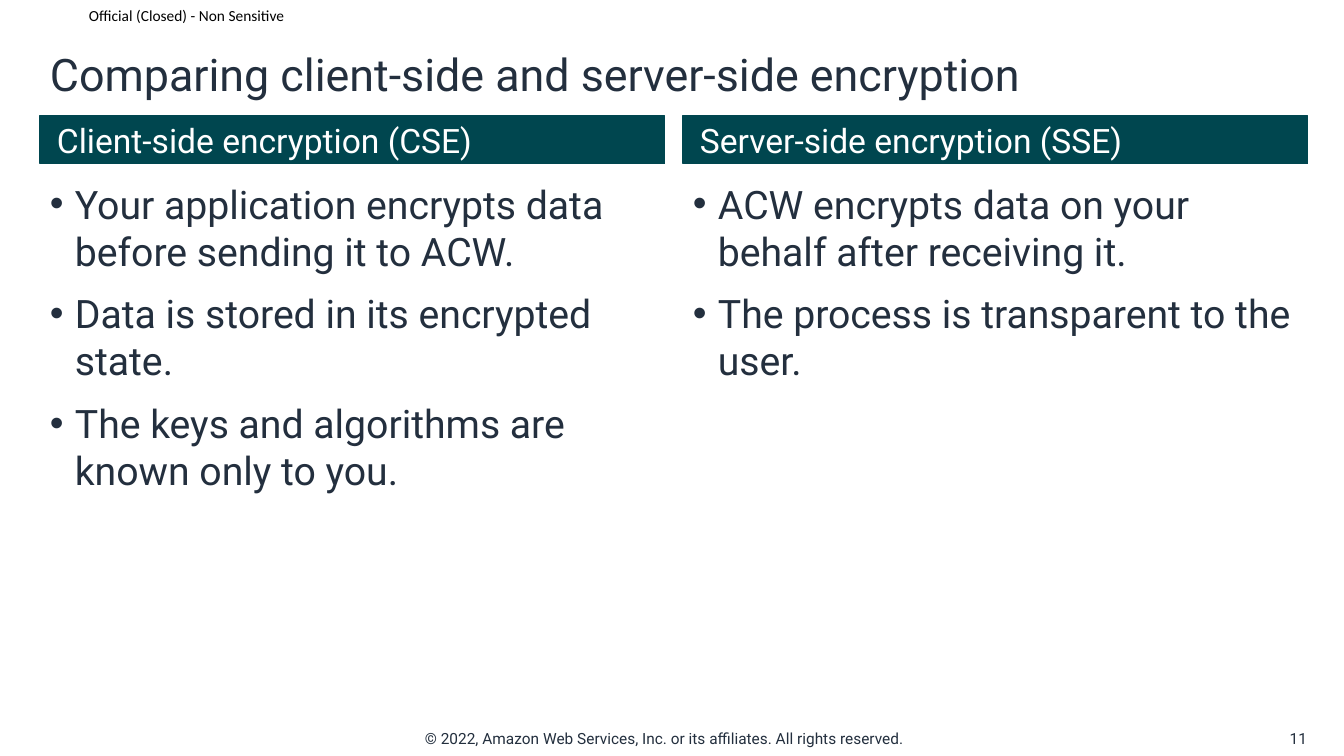
from dataclasses import dataclass

from lxml.etree import SubElement
from pptx import Presentation
from pptx.dml.color import RGBColor
from pptx.enum.shapes import MSO_SHAPE as Shape
from pptx.enum.text import MSO_ANCHOR as Anchor, PP_ALIGN as Align
from pptx.oxml.ns import qn
from pptx.util import Emu, Pt

EMU_PER_PX = 914400 / 100.8
NAVY, TEAL, WHITE, BLACK = "232F3E", "00464F", "FFFFFF", "000000"
COLUMN_WIDTH = 625


@dataclass
class Frame:
    left: int
    top: int
    width: int
    height: int


@dataclass
class Style:
    size: int
    color: str = NAVY
    font: str = "Roboto"
    align: Align = Align.LEFT
    anchor: Anchor = Anchor.MIDDLE
    wrap: bool = True


@dataclass
class Column:
    left: int
    heading: str
    points: list[str]


COLUMNS = [
    Column(40, "Client-side encryption (CSE)", [
        "Your application encrypts data before sending it to ACW.",
        "Data is stored in its encrypted state.",
        "The keys and algorithms are known only to you.",
    ]),
    Column(683, "Server-side encryption (SSE)", [
        "ACW encrypts data on your behalf after receiving it.",
        "The process is transparent to the user.",
    ]),
]


def px(length: int) -> Emu:
    return Emu(round(length * EMU_PER_PX))


def rgb(color: str) -> RGBColor:
    return RGBColor.from_string(color)


def place(frame: Frame) -> list[Emu]:
    return [px(n) for n in (frame.left, frame.top, frame.width, frame.height)]


def write(box, lines: list[str], style: Style) -> None:
    text_frame = box.text_frame
    text_frame.text = "\n".join(lines)
    text_frame.word_wrap = style.wrap
    text_frame.vertical_anchor = style.anchor
    for para in text_frame.paragraphs:
        para.alignment = style.align
        for span in para.runs:
            span.font.size = Pt(style.size)
            span.font.name = style.font
            span.font.color.rgb = rgb(style.color)


def add_text(page, frame: Frame, lines: list[str], style: Style):
    box = page.shapes.add_textbox(*place(frame))
    write(box, lines, style)
    return box


def add_heading(page, frame: Frame, text: str) -> None:
    bar = page.shapes.add_shape(Shape.RECTANGLE, *place(frame))
    bar.shadow.inherit = False
    bar.fill.solid()
    bar.fill.fore_color.rgb = rgb(TEAL)
    bar.line.color.rgb = rgb(TEAL)
    bar.line.width = Pt(0.75)
    write(bar, [text], Style(24, WHITE))
    bar.text_frame.paragraphs[0]._p.get_or_add_pPr().set("marL", str(px(7)))


def add_bullets(page, frame: Frame, points: list[str]) -> None:
    box = add_text(page, frame, points, Style(28, anchor=Anchor.TOP))
    for index, para in enumerate(box.text_frame.paragraphs):
        para.space_before = Pt(5 if index else 0)
        para.space_after = Pt(6)
        properties = para._p.get_or_add_pPr()
        properties.set("marL", str(px(25)))
        properties.set("indent", str(px(-25)))
        SubElement(properties, qn("a:buFont")).set("typeface", "Arial")
        SubElement(properties, qn("a:buChar")).set("char", "•")


def main() -> None:
    deck = Presentation()
    deck.slide_width, deck.slide_height = px(1344), px(756)
    page = deck.slides.add_slide(deck.slide_layouts[6])

    label = add_text(page, Frame(89, 0, 214, 31), ["Official (Closed) - Non Sensitive"],
                     Style(11, BLACK, "Calibri"))
    label.text_frame.margin_left = label.text_frame.margin_right = 0
    label.text_frame.margin_top = label.text_frame.margin_bottom = 0
    add_text(page, Frame(415, 724, 513, 29),
             ["© 2022, Amazon Web Services, Inc. or its affiliates. All rights reserved."],
             Style(11, anchor=Anchor.TOP, wrap=False))
    add_text(page, Frame(1264, 724, 53, 29), ["11"], Style(11, align=Align.RIGHT))
    add_text(page, Frame(40, 33, 1275, 81),
             ["Comparing client-side and server-side encryption"], Style(32))

    for column in COLUMNS:
        add_heading(page, Frame(column.left, 116, COLUMN_WIDTH, 48), column.heading)
        add_bullets(page, Frame(column.left, 175, COLUMN_WIDTH, 534), column.points)

    deck.save("out.pptx")


if __name__ == "__main__":
    main()
